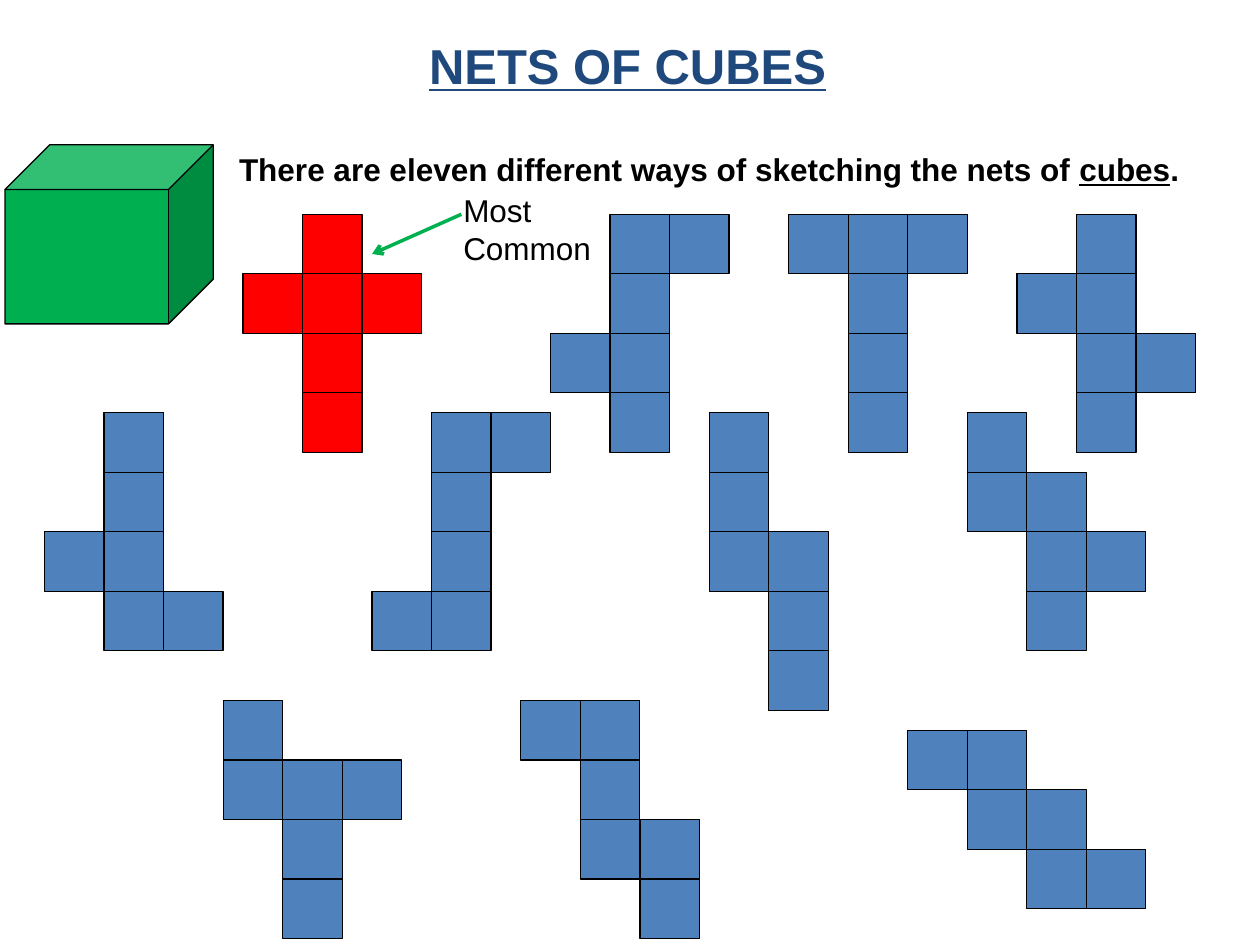
import pptx
import pptx.util
import pptx.dml.color
import pptx.enum.shapes
import pptx.enum.text
import pptx.oxml
import pptx.oxml.ns

Cm = pptx.util.Cm
Pt = pptx.util.Pt
SHAPES = pptx.enum.shapes.MSO_SHAPE

COLORS = {
    "title": "1F497D",
    "text": "000000",
    "outline": "000000",
    "cube": "00B050",
    "common": "FF0000",
    "net": "4F81BD",
}
FONT = "Arial"
SQUARE = 1.2

TITLE = "NETS OF CUBES"
INTRO = [
    ("There are eleven different ways of sketching the nets of ", False),
    ("cubes", True),
    (".", False),
]
CALLOUT = ["Most", "Common"]

NETS = [
    (4.9, 4.32, "common", [".#.", "###", ".#.", ".#."]),
    (11.1, 4.32, "net", [".##", ".#.", "##.", ".#."]),
    (15.9, 4.32, "net", ["###", ".#.", ".#.", ".#."]),
    (20.5, 4.32, "net", [".#.", "##.", ".##", ".#."]),
    (0.9, 8.32, "net", [".#.", ".#.", "##.", ".##"]),
    (7.5, 8.32, "net", [".##", ".#.", ".#.", "##."]),
    (14.3, 8.32, "net", ["#.", "#.", "##", ".#", ".#"]),
    (19.5, 8.32, "net", ["#..", "##.", ".##", ".#."]),
    (4.5, 14.12, "net", ["#..", "###", ".#.", ".#."]),
    (10.5, 14.12, "net", ["##.", ".#.", ".##", "..#"]),
    (18.3, 14.72, "net", ["##.", ".##", "..#" + "#"]),
]


def rgb(name):
    return pptx.dml.color.RGBColor.from_string(COLORS[name])


def style_font(font, size, color, bold=False):
    font.name = FONT
    font.size = Pt(size)
    font.bold = bold
    font.color.rgb = rgb(color)


def add_solid(page, kind, left, top, width, height, color):
    shape = page.shapes.add_shape(kind, Cm(left), Cm(top), Cm(width), Cm(height))
    shape.shadow.inherit = False
    shape.fill.solid()
    shape.fill.fore_color.rgb = rgb(color)
    shape.line.color.rgb = rgb("outline")
    shape.line.width = Pt(0.75)
    return shape


def add_net(page, left, top, color, rows):
    for row, cells in enumerate(rows):
        for column, cell in enumerate(cells):
            if cell == "#":
                add_solid(page, SHAPES.RECTANGLE, left + column * SQUARE,
                          top + row * SQUARE, SQUARE, SQUARE, color)


def add_text_box(page, left, top, width, height):
    box = page.shapes.add_textbox(Cm(left), Cm(top), Cm(width), Cm(height))
    box.text_frame.word_wrap = True
    return box.text_frame


def add_title(page):
    title = page.shapes.title
    title.left, title.top = Cm(1.22), Cm(0.53)
    title.width, title.height = Cm(22.86), Cm(1.57)
    title.text_frame.text = TITLE
    title.text_frame.vertical_anchor = pptx.enum.text.MSO_ANCHOR.MIDDLE
    para = title.text_frame.paragraphs[0]
    para.alignment = pptx.enum.text.PP_ALIGN.CENTER
    style_font(para.font, 28, "title", bold=True)
    para.font.underline = True


def add_intro(page):
    para = add_text_box(page, 4.57, 2.9, 21.13, 1.02).paragraphs[0]
    style_font(para.font, 18, "text", bold=True)
    for words, underlined in INTRO:
        span = para.add_run()
        span.text = words
        style_font(span.font, 18, "text", bold=True)
        span.font.underline = underlined


def add_callout(page):
    arrow = page.shapes.add_connector(pptx.enum.shapes.MSO_CONNECTOR.STRAIGHT,
                                      Cm(9.3), Cm(4.32), Cm(7.5), Cm(5.12))
    arrow.line.color.rgb = rgb("cube")
    arrow.line.width = Pt(2)
    head = pptx.oxml.parse_xml(
        '<a:tailEnd %s type="arrow"/>' % pptx.oxml.ns.nsdecls("a"))
    arrow.line._get_or_add_ln().append(head)
    properties = arrow._element.spPr
    properties.append(pptx.oxml.parse_xml(
        "<a:effectLst %s/>" % pptx.oxml.ns.nsdecls("a")))
    frame = add_text_box(page, 9.09, 3.73, 3.4, 1.8)
    frame.text = "\n".join(CALLOUT)
    for para in frame.paragraphs:
        style_font(para.font, 18, "text")


def main():
    deck = pptx.Presentation()
    deck.slide_width, deck.slide_height = Cm(25.4), Cm(19.05)
    page = deck.slides.add_slide(deck.slide_layouts[5])
    add_title(page)
    cube = add_solid(page, SHAPES.CUBE, 0.1, 2.92, 4.2, 3.61, "cube")
    cube.adjustments[0] = 0.25
    for net in NETS:
        add_net(page, *net)
    add_intro(page)
    add_callout(page)
    deck.save("out.pptx")


if __name__ == "__main__":
    main()
